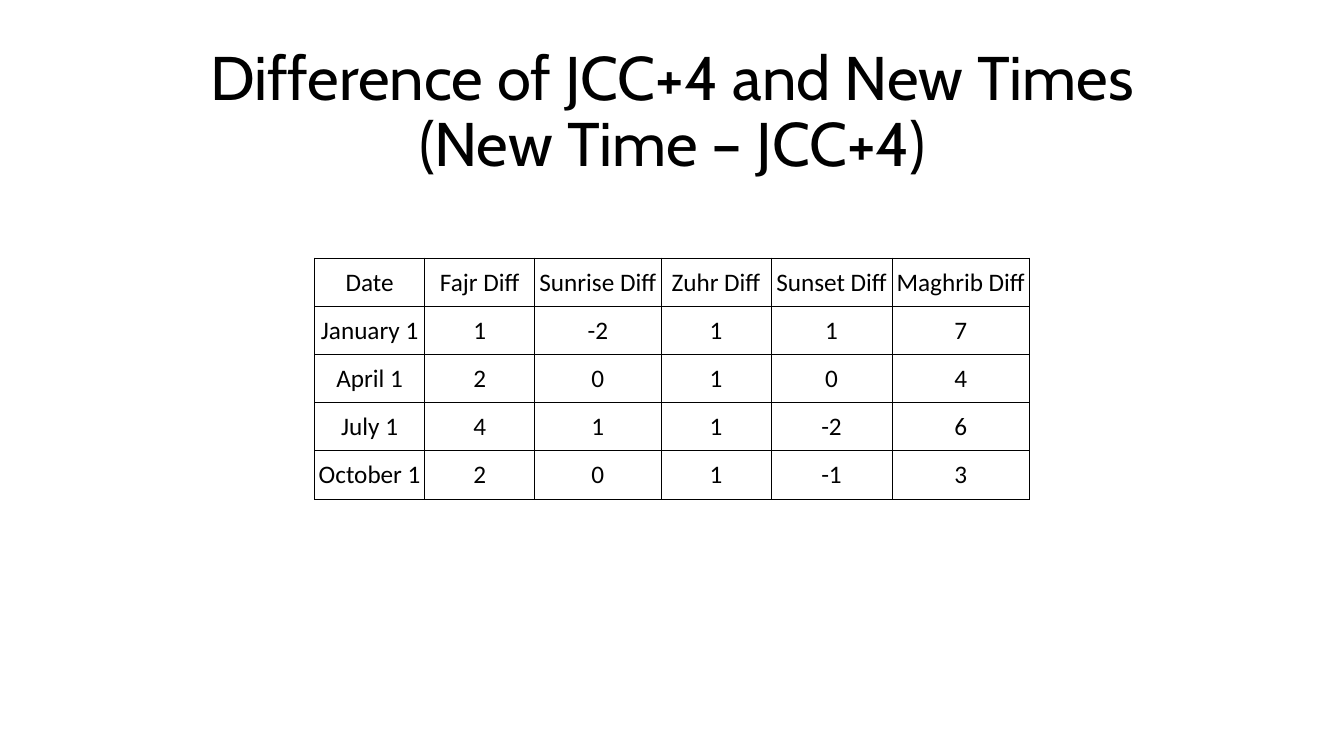
from dataclasses import dataclass
from typing import NamedTuple

from lxml.etree import SubElement
from pptx import Presentation
from pptx.dml.color import RGBColor as Color
from pptx.enum.text import MSO_ANCHOR as Anchor, PP_ALIGN as Align
from pptx.oxml.ns import qn
from pptx.util import Inches, Pt


@dataclass(frozen=True)
class Theme:
    ink: str = "000000"
    paper: str = "FFFFFF"
    heading_font: str = "Cabin"
    heading_size: float = 44
    heading_spacing: float = 0.9
    table_font: str = "Calibri"
    table_size: float = 18
    rule_width: float = 0.5


class Box(NamedTuple):
    left: int
    top: int
    width: int
    height: int


THEME = Theme()
HEADING = ("Difference of JCC+4 and New Times", "(New Time – JCC+4)")
TIME_DIFFERENCES = (
    ("Date", "Fajr Diff", "Sunrise Diff", "Zuhr Diff", "Sunset Diff", "Maghrib Diff"),
    ("January 1", "1", "-2", "1", "1", "7"),
    ("April 1", "2", "0", "1", "0", "4"),
    ("July 1", "4", "1", "1", "-2", "6"),
    ("October 1", "2", "0", "1", "-1", "3"),
)
COLUMN_WEIGHTS = (1.09, 1.09, 1.25, 1.09, 1.2, 1.36)


def percent_box(deck, left, top, width, height):
    across, down = deck.slide_width / 100, deck.slide_height / 100
    return Box(round(left * across), round(top * down),
               round(width * across), round(height * down))


def add_styled_run(paragraph, text, font, size):
    run = paragraph.add_run()
    run.text = text
    run.font.name = font
    run.font.size = Pt(size)
    run.font.color.rgb = Color.from_string(THEME.ink)


def rule_cell(cell):
    properties = cell._tc.get_or_add_tcPr()
    for side in ("a:lnL", "a:lnR", "a:lnT", "a:lnB"):
        rule = SubElement(properties, qn(side), w=str(Pt(THEME.rule_width)))
        ink = SubElement(rule, qn("a:solidFill"))
        SubElement(ink, qn("a:srgbClr"), val=THEME.ink)


def add_heading(slide, box):
    frame = slide.shapes.add_textbox(*box).text_frame
    frame.word_wrap = True
    frame.vertical_anchor = Anchor.MIDDLE
    paragraph = frame.paragraphs[0]
    paragraph.alignment = Align.CENTER
    paragraph.line_spacing = THEME.heading_spacing
    for number, line in enumerate(HEADING):
        if number:
            paragraph.add_line_break()
        add_styled_run(paragraph, line, THEME.heading_font, THEME.heading_size)


def fill_cell(cell, text):
    cell.margin_left = cell.margin_right = cell.margin_top = Inches(0.01)
    cell.margin_bottom = 0
    cell.vertical_anchor = Anchor.MIDDLE
    rule_cell(cell)
    cell.fill.background()
    paragraph = cell.text_frame.paragraphs[0]
    paragraph.alignment = Align.CENTER
    add_styled_run(paragraph, text, THEME.table_font, THEME.table_size)


def add_differences(slide, box):
    table = slide.shapes.add_table(
        len(TIME_DIFFERENCES), len(COLUMN_WEIGHTS), *box).table
    table.first_row = table.horz_banding = False
    for column, weight in zip(table.columns, COLUMN_WEIGHTS):
        column.width = round(box.width * weight / sum(COLUMN_WEIGHTS))
    for row, entries in zip(table.rows, TIME_DIFFERENCES):
        row.height = round(box.height / len(TIME_DIFFERENCES))
        for cell, entry in zip(row.cells, entries):
            fill_cell(cell, entry)


def main():
    deck = Presentation()
    deck.slide_width, deck.slide_height = Inches(13.33), Inches(7.5)
    slide = deck.slides.add_slide(deck.slide_layouts[6])
    backdrop = slide.background.fill
    backdrop.solid()
    backdrop.fore_color.rgb = Color.from_string(THEME.paper)
    add_heading(slide, percent_box(deck, 6.9, 5.33, 86.25, 19.33))
    add_differences(slide, percent_box(deck, 23.41, 34.13, 53.19, 31.87))
    deck.save("out.pptx")


if __name__ == "__main__":
    main()
